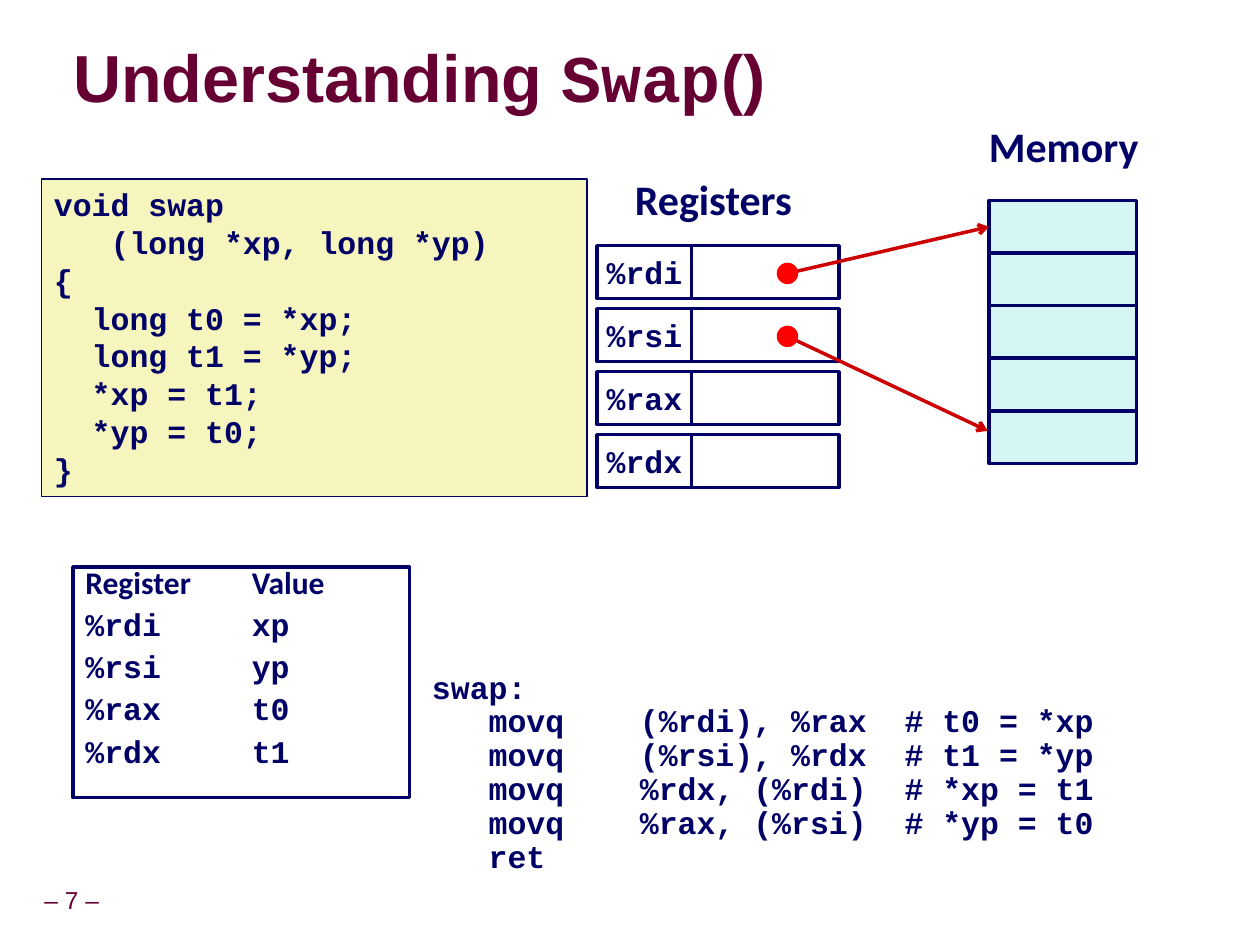
from lxml.etree import SubElement
from pptx import Presentation
from pptx.dml.color import RGBColor
from pptx.enum.shapes import MSO_CONNECTOR, MSO_SHAPE
from pptx.enum.text import MSO_ANCHOR, MSO_AUTO_SIZE, PP_ALIGN
from pptx.oxml import parse_xml
from pptx.oxml.ns import nsdecls, qn
from pptx.util import Inches, Pt

THEME = {
    "navy": "000066", "wine": "660033", "white": "FFFFFF", "cream": "F6F5BD",
    "aqua": "D6F5F5", "red": "FF0000", "arrow": "CC0000",
    "sans": "Arial", "head": "Calibri", "mono": "Courier New",
    "title": 38, "label": 24, "body": 18, "foot": 14,
}

# Content
TITLE = [("Understanding ", "sans"), ("Swap", "mono"), ("()", "sans")]
SOURCE = [
    "void swap",
    "   (long *xp, long *yp)",
    "{",
    "  long t0 = *xp;",
    "  long t1 = *yp;",
    "  *xp = t1;",
    "  *yp = t0;",
    "}",
]
ASM = [
    "swap:",
    "   movq    (%rdi), %rax  # t0 = *xp",
    "   movq    (%rsi), %rdx  # t1 = *yp",
    "   movq    %rdx, (%rdi)  # *xp = t1",
    "   movq    %rax, (%rsi)  # *yp = t0",
    "   ret",
]
VALUES = [("%rdi", "xp"), ("%rsi", "yp"), ("%rax", "t0"), ("%rdx", "t1")]
HEADS = [("Memory", 7.75, 0.91, 1.4), ("Registers", 4.94, 1.33, 1.48)]
LINKS = [(0, 7.85, 1.8), (1, 7.84, 3.42)]  # register row, arrow tip

# Grid
REG_X, REG_Y, REG_W, REG_STEP = 4.74, 1.95, 0.75, 0.5
MEM_X, MEM_Y, MEM_ROWS = 7.85, 1.59, 5
CELL_W, CELL_H = 1.17, 0.42
MEM_STEP = 1.67 / 4
DOT_X, DOT = 6.25, 0.17


def color(name):
    return RGBColor.from_string(THEME[name])


def style(font, face, size, tint, bold=True):
    font.name, font.size, font.bold = THEME[face], Pt(THEME[size]), bold
    font.color.rgb = color(tint)


def write(shape, lines, face="mono", size="body", tint="navy", bold=True,
          align=PP_ALIGN.LEFT, anchor=MSO_ANCHOR.TOP, wrap=True, tabs=(),
          space=None, first=None, gap=0, inset=None):
    """Fill a shape with lines; each line is a string or (text, face) runs."""
    frame = shape.text_frame
    frame.word_wrap, frame.vertical_anchor = wrap, anchor
    frame.auto_size = MSO_AUTO_SIZE.NONE
    if inset is not None:
        frame.margin_left = frame.margin_right = Inches(inset)
        frame.margin_top = frame.margin_bottom = Inches(inset)
    for i, line in enumerate(lines):
        para = frame.paragraphs[0] if i == 0 else frame.add_paragraph()
        para.alignment = align
        para.line_spacing = space if i else first
        if i and gap:
            para.space_before = Pt(gap)
        if tabs:
            stops = SubElement(para._p.get_or_add_pPr(), qn("a:tabLst"))
            for tab in tabs:
                SubElement(stops, qn("a:tab"), pos=str(Inches(tab)), algn="l")
        for text, kind in [(line, face)] if isinstance(line, str) else line:
            run = para.add_run()
            run.text = text
            style(run.font, kind, size, tint, bold)


def block(shapes, x, y, w, h, fill=None, line="navy", width=2,
          kind=MSO_SHAPE.RECTANGLE):
    shape = shapes.add_shape(kind, Inches(x), Inches(y), Inches(w), Inches(h))
    shape.shadow.inherit = False
    if fill:
        shape.fill.solid()
        shape.fill.fore_color.rgb = color(fill)
    else:
        shape.fill.background()
    if line:
        shape.line.color.rgb = color(line)
        shape.line.width = Pt(width)
    else:
        shape.line.fill.background()
    return shape


def label(shapes, x, y, w, h, lines, **form):
    box = shapes.add_textbox(Inches(x), Inches(y), Inches(w), Inches(h))
    write(box, lines, **form)


def arrow(shapes, x1, y1, x2, y2):
    line = shapes.add_connector(MSO_CONNECTOR.STRAIGHT, Inches(x1), Inches(y1),
                                Inches(x2), Inches(y2))
    line.line.color.rgb = color("arrow")
    line.line.width = Pt(2)
    SubElement(line.line._get_or_add_ln(), qn("a:tailEnd"), type="arrow")
    SubElement(line._element.spPr, qn("a:effectLst"))


def main():
    deck = Presentation()
    deck.slide_width, deck.slide_height = Inches(10), Inches(7.5)
    slide = deck.slides.add_slide(deck.slide_layouts[5])
    shapes = slide.shapes

    # Title with a soft text shadow
    title = shapes.title
    title.left, title.top = Inches(0.58), Inches(0.33)
    title.width, title.height = Inches(6.97), Inches(0.63)
    write(title, [TITLE], size="title", tint="wine", first=0.87,
          anchor=MSO_ANCHOR.MIDDLE, inset=0)
    for run in title.text_frame.paragraphs[0].runs:
        run.font._element.find(qn("a:solidFill")).addnext(parse_xml(
            f'<a:effectLst {nsdecls("a")}><a:outerShdw blurRad="38100" '
            'dist="38100" dir="2700000"><a:srgbClr val="C0C0C0"/>'
            '</a:outerShdw></a:effectLst>'))

    # Slide number
    label(shapes, 0.24, 7, 0.66, 0.31, ["– 7 –"], face="sans", size="foot",
          tint="wine", bold=False, align=PP_ALIGN.CENTER, first=0.9,
          anchor=MSO_ANCHOR.MIDDLE, wrap=False, inset=0.05)

    # Registers
    group = shapes.add_group_shape().shapes
    for i, (name, _) in enumerate(VALUES):
        y = REG_Y + i * REG_STEP
        cell = block(group, REG_X, y, REG_W, CELL_H, "white")
        write(cell, [name], align=PP_ALIGN.CENTER, anchor=MSO_ANCHOR.MIDDLE,
              wrap=False)
        block(group, REG_X + REG_W, y, CELL_W, CELL_H, "white")

    # Source code
    write(block(shapes, 0.33, 1.42, 4.33, 2.52, "cream", width=1), SOURCE,
          tabs=(0.5, 1.62))

    # Headings
    for text, x, y, w in HEADS:
        label(shapes, x, y, w, 0.5, [text], face="head", size="label",
              wrap=False)

    # Register values
    rows = [[("Register\tValue", "head")]] + ["\t".join(v) for v in VALUES]
    write(block(shapes, 0.58, 4.5, 2.67, 1.83), rows, tabs=(1.32,),
          first=0.7, space=0.7, gap=9)

    # Assembly
    label(shapes, 3.33, 5.25, 6.42, 1.77, ASM, tabs=(0.38, 1.44), space=0.9)

    # Memory
    group = shapes.add_group_shape().shapes
    for i in range(MEM_ROWS):
        block(group, MEM_X, MEM_Y + i * MEM_STEP, CELL_W, CELL_H, "aqua")

    # Pointers
    for row, x, y in LINKS:
        mid = REG_Y + row * REG_STEP + 0.22
        arrow(shapes, DOT_X, mid, x, y)
        block(shapes, DOT_X - DOT / 2, mid - DOT / 2, DOT, DOT, "red",
              line=None, kind=MSO_SHAPE.OVAL)

    deck.save("out.pptx")


if __name__ == "__main__":
    main()
